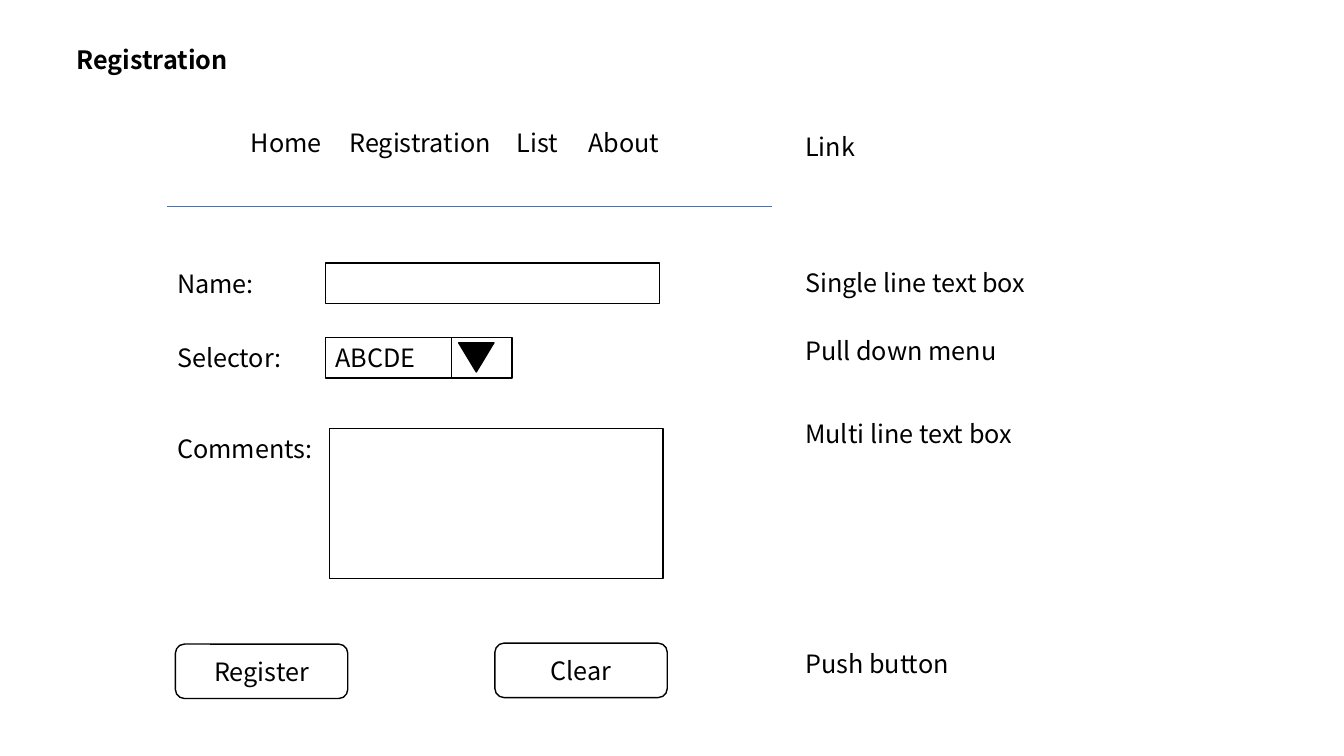
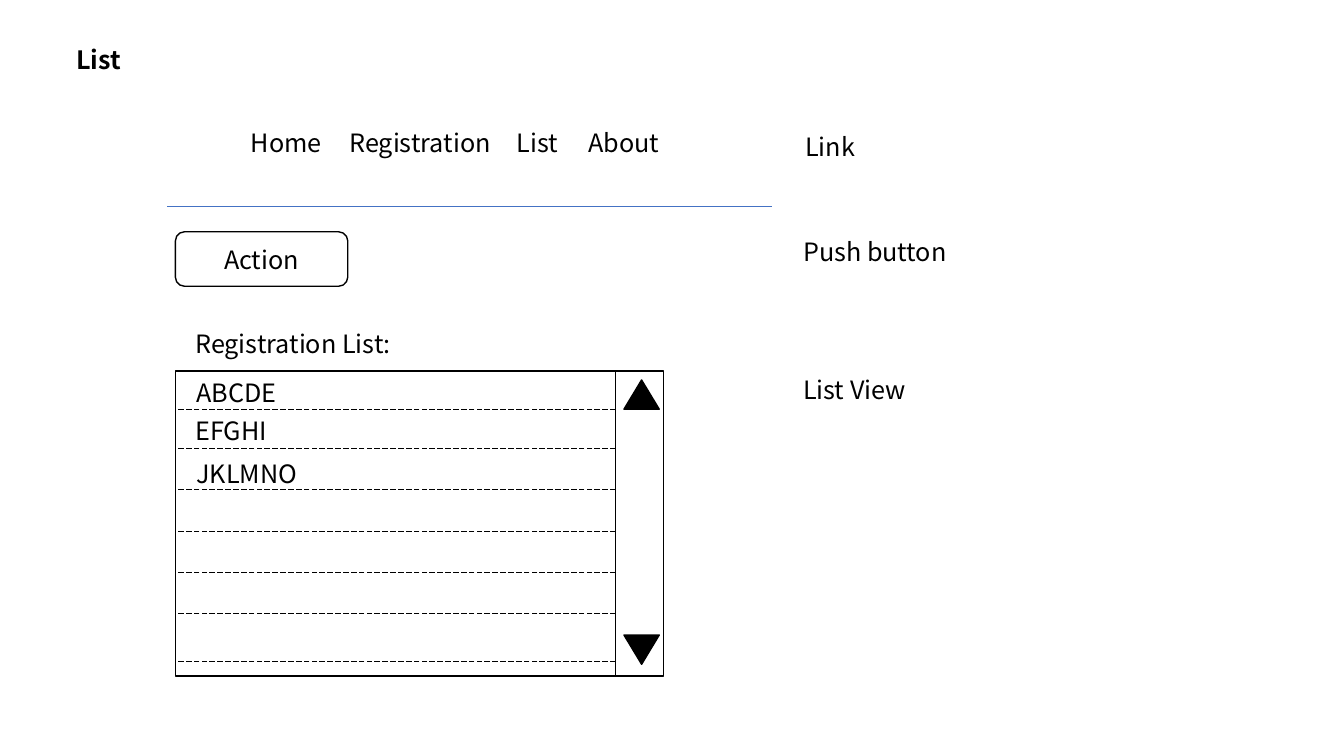
from lxml import etree
from pptx import Presentation
from pptx.dml.color import RGBColor
from pptx.enum.dml import MSO_LINE
from pptx.enum.shapes import MSO_CONNECTOR, MSO_SHAPE
from pptx.enum.text import MSO_ANCHOR, MSO_AUTO_SIZE, PP_ALIGN
from pptx.oxml.ns import qn
from pptx.util import Pt

COLORS = {"ink": "000000", "rule": "4472C4"}
FONT = "Noto Sans CJK JP"
FONT_SIZE = 18
LINE_H = 29.08
FIELD_H = 28.8
LABEL_X = 119.5
LEFT_X = 125.3
FIELD_X = 232.6
FIELD_W = 238.3
NOTE_X = 568.1
NOTE_W = 181.4
NAV_ITEMS = [
    ("Home ", 163.4, 86.4),
    ("Registration ", 240.5, 123.1),
    ("List ", 349.9, 72),
    ("About ", 411.8, 72),
]


def color(name):
    """Return the named palette colour."""
    return RGBColor.from_string(COLORS[name])


def write(sp, text, align=PP_ALIGN.LEFT, bold=False):
    """Put one styled line of text in a shape and return its frame."""
    tf = sp.text_frame
    tf.word_wrap = True
    p = tf.paragraphs[0]
    p.text = text
    p.alignment = align
    p.font.name = FONT
    p.font.size = Pt(FONT_SIZE)
    p.font.bold = bold
    p.font.color.rgb = color("ink")
    return tf


def add_text(s, text, x, y, w, align=PP_ALIGN.LEFT, bold=False):
    """Add a one-line text box and return its frame."""
    sp = s.shapes.add_textbox(Pt(x), Pt(y), Pt(w), Pt(LINE_H))
    tf = write(sp, text, align, bold)
    tf.auto_size = MSO_AUTO_SIZE.SHAPE_TO_FIT_TEXT
    return tf


def add_outline(s, kind, x, y, w, h):
    """Add an unfilled preset shape with a thin dark outline."""
    sp = s.shapes.add_shape(kind, Pt(x), Pt(y), Pt(w), Pt(h))
    sp.shadow.inherit = False
    sp.fill.background()
    sp.line.color.rgb = color("ink")
    sp.line.width = Pt(1)
    return sp


def add_box(s, x, y, w, h, text=""):
    """Add a rectangular field, with a value if one is given."""
    sp = add_outline(s, MSO_SHAPE.RECTANGLE, x, y, w, h)
    if text:
        write(sp, text).vertical_anchor = MSO_ANCHOR.MIDDLE


def add_button(s, text, x, y):
    """Add a rounded push button with a centred caption."""
    sp = add_outline(s, MSO_SHAPE.ROUNDED_RECTANGLE, x, y, 123.1, 38.9)
    write(sp, text, PP_ALIGN.CENTER).vertical_anchor = MSO_ANCHOR.MIDDLE


def add_arrow(s, x, y, down=True):
    """Add a solid triangle that points down or up."""
    sp = add_outline(s, MSO_SHAPE.ISOSCELES_TRIANGLE, x, y, 25.2, 20.9)
    sp.fill.solid()
    sp.fill.fore_color.rgb = color("ink")
    sp.rotation = 180 if down else 0


def add_line(s, x1, y1, x2, y2, name="ink", dash=None):
    """Add a hairline without shadow."""
    line = s.shapes.add_connector(
        MSO_CONNECTOR.STRAIGHT, Pt(x1), Pt(y1), Pt(x2), Pt(y2))
    line.line.color.rgb = color(name)
    line.line.width = Pt(0.5)
    if dash:
        line.line.dash_style = dash
    etree.SubElement(line._element.spPr, qn("a:effectLst"))


def add_page(prs, title, title_w):
    """Add a slide with the title, navigation and rule that all pages share."""
    s = prs.slides.add_slide(prs.slide_layouts[6])
    add_text(s, title, 47.5, 28.1, title_w, bold=True).word_wrap = False
    for text, x, w in NAV_ITEMS:
        add_text(s, text, x, 87.1, w, PP_ALIGN.CENTER)
    add_line(s, LABEL_X, 147.6, 551.5, 147.6, "rule")
    add_text(s, "Link", NOTE_X, 90, NOTE_W)
    return s


def build_registration(prs):
    """Build the registration form page."""
    s = add_page(prs, "Registration", 122.4)
    name_y, selector_y, comments_y, button_y = 187.9, 241.2, 306, 459.4

    add_text(s, "Name: ", LABEL_X, name_y, 101.5)
    add_box(s, FIELD_X, name_y, FIELD_W, FIELD_H)

    add_text(s, "Selector: ", LABEL_X, selector_y, 101.5)
    add_box(s, FIELD_X, selector_y, 133.2, FIELD_H, "ABCDE")
    add_arrow(s, 327.6, 244.8)
    add_line(s, 322.6, selector_y + FIELD_H, 322.6, selector_y)

    add_text(s, "Comments: ", LABEL_X, comments_y, 115.9)
    add_box(s, 235.4, comments_y, FIELD_W, 107.3)

    add_button(s, "Register", LEFT_X, 460.1)
    add_button(s, "Clear", 353.5, button_y)

    notes = [
        ("Single line text box ", 187.2),
        ("Pull down menu", 236.2),
        ("Multi line text box ", 295.2),
        ("Push button", button_y),
    ]
    for text, y in notes:
        add_text(s, text, NOTE_X, y, NOTE_W)


def build_list(prs):
    """Build the list view page."""
    s = add_page(prs, "List", 47.5)
    top, height, scroll_x, arrow_x = 265, 218, 439.9, 445.7

    add_button(s, "Action", LEFT_X, 165.6)
    add_text(s, "Registration List: ", 132.5, 231.1, 163.4)

    add_box(s, LEFT_X, top, 348.5, height)
    add_line(s, scroll_x, top + height, scroll_x, top)
    add_arrow(s, arrow_x, 271.4, down=False)
    add_arrow(s, arrow_x, 453.6)
    for y in (292.3, 320.4, 349.2, 379.4, 409, 437.8, 472.3):
        add_line(s, scroll_x, y, LEFT_X, y, dash=MSO_LINE.LONG_DASH)
    for text, x, y in [("ABCDE", 133.2, 265.7), ("EFGHI", 132.5, 293),
                       ("JKLMNO", 133.2, 324)]:
        add_text(s, text, x, y, NOTE_W)

    for text, y in [("Push button", 165.6), ("List View", 264.2)]:
        add_text(s, text, 566.6, y, NOTE_W)


def main():
    """Build and save the presentation."""
    prs = Presentation()
    prs.slide_width, prs.slide_height = Pt(960), Pt(540)
    build_registration(prs)
    build_list(prs)
    prs.save("out.pptx")


main()
